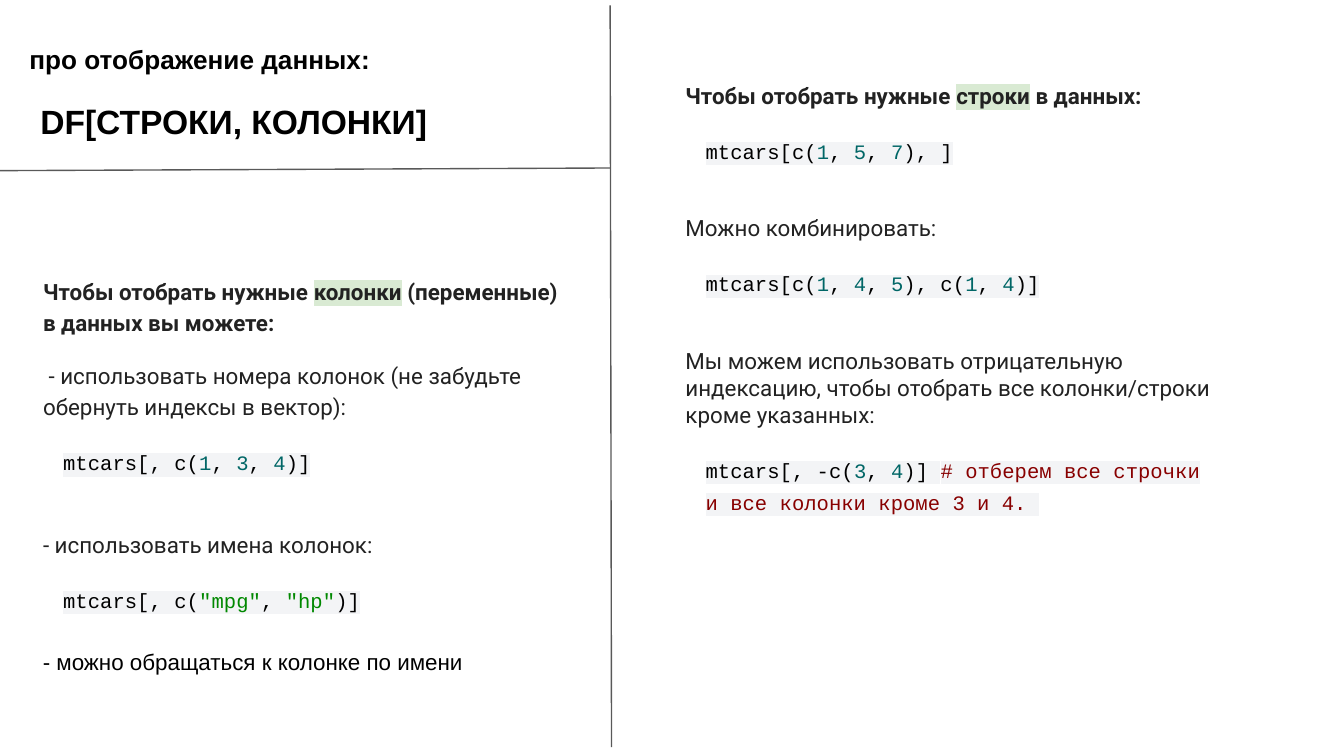
from lxml import etree
from pptx import Presentation
from pptx.dml.color import RGBColor
from pptx.enum.shapes import MSO_CONNECTOR
from pptx.enum.text import MSO_ANCHOR, MSO_AUTO_SIZE, PP_ALIGN
from pptx.oxml.ns import qn
from pptx.util import Inches, Pt

STRAIGHT = MSO_CONNECTOR.STRAIGHT
TOP = MSO_ANCHOR.TOP
GROW = MSO_AUTO_SIZE.SHAPE_TO_FIT_TEXT
LEFT = PP_ALIGN.LEFT

WIDTH = 10
HEIGHT = WIDTH * 9 / 16
TWO_CONTENT_LAYOUT = 3
MARGIN = 0.22          # left edge of the left column
COLUMN_WIDTH = 4.11
RIGHT_COLUMN = WIDTH / 2
DIVIDER = 4.54         # vertical rule between the columns

BLACK, DARK, GREY = "000000", "222222", "595959"
NUMBER, STRING, COMMENT = "006666", "008800", "880000"
CODE_BACK, KEYWORD_BACK = "F3F4F6", "D9EAD3"


def rgb(value):
    return RGBColor.from_string(value)


def add_run(paragraph, text, font, size, color, bold=False, highlight=None):
    run = paragraph.add_run()
    run.text = text
    run.font.name = font
    run.font.size = Pt(size)
    run.font.bold = bold
    run.font.color.rgb = rgb(color)
    if highlight:
        marker = etree.Element(qn("a:highlight"))
        etree.SubElement(marker, qn("a:srgbClr"), val=highlight)
        run.font._element.find(qn("a:latin")).addprevious(marker)


def next_paragraph(frame, before=0, spacing=1.0, indent=0):
    """Return an unbulleted paragraph, using the empty first one if it is free."""
    paragraph = frame.paragraphs[0]
    if paragraph.runs:
        paragraph = frame.add_paragraph()
    paragraph.alignment = LEFT
    paragraph.space_before = Pt(before)
    paragraph.space_after = Pt(0)
    paragraph.line_spacing = spacing
    properties = paragraph._p.get_or_add_pPr()
    properties.set("marL", str(Inches(indent)))
    properties.set("indent", "0")
    etree.SubElement(properties, qn("a:buNone"))
    return paragraph


def prepare_frame(shape, left, top, width, height):
    shape.left, shape.top = Inches(left), Inches(top)
    shape.width, shape.height = Inches(width), Inches(height)
    frame = shape.text_frame
    frame.word_wrap = True
    frame.auto_size = GROW
    frame.vertical_anchor = TOP
    frame.margin_left = frame.margin_right = Inches(0.1)
    frame.margin_top = frame.margin_bottom = Inches(0.1)
    return frame


def add_label(slide, text, box, size, bold=False):
    frame = prepare_frame(slide.shapes.add_textbox(0, 0, 0, 0), *box)
    add_run(next_paragraph(frame), text, "Arial", size, BLACK, bold)


def add_heading(frame, start, keyword, end, spacing=1.0):
    paragraph = next_paragraph(frame, spacing=spacing)
    for text, back in ((start, None), (keyword, KEYWORD_BACK), (end, None)):
        add_run(paragraph, text, "Roboto", 12, DARK, True, back)


def add_note(frame, text, before, spacing=1.0):
    add_run(next_paragraph(frame, before, spacing), text, "Roboto", 12, DARK)


def items(color, *values):
    """Coloured values of an R vector, with black commas between them."""
    parts = [(values[0], color)]
    for value in values[1:]:
        parts += [(", ", BLACK), (value, color)]
    return parts


def add_code(frame, *parts):
    paragraph = next_paragraph(frame, before=12, spacing=1.3, indent=0.15)
    for part in parts:
        for text, color in [(part, BLACK)] if isinstance(part, str) else part:
            add_run(paragraph, text, "Courier New", 11, color, highlight=CODE_BACK)


def add_rule(slide, x1, y1, x2, y2):
    rule = slide.shapes.add_connector(
        STRAIGHT, Inches(x1), Inches(y1), Inches(x2), Inches(y2))
    rule.line.color.rgb = rgb(GREY)
    rule.line.width = Pt(0.75)
    etree.SubElement(rule._element.spPr, qn("a:effectLst"))


def fill_columns_part(placeholder):
    frame = prepare_frame(placeholder, MARGIN, 1.94, COLUMN_WIDTH, 2.69)
    add_heading(frame, "Чтобы отобрать нужные ", "колонки",
                " (переменные) в данных вы можете:", 1.15)
    add_note(frame, " - использовать номера колонок (не забудьте обернуть "
                    "индексы в вектор):", 12, 1.15)
    add_code(frame, "mtcars[, c(", items(NUMBER, "1", "3", "4"), ")]")
    add_note(frame, "- использовать имена колонок:", 28, 1.15)
    add_code(frame, "mtcars[, c(", items(STRING, '"mpg"', '"hp"'), ")]")


def fill_rows_part(placeholder):
    frame = prepare_frame(placeholder, RIGHT_COLUMN, 0.51, COLUMN_WIDTH, 3.39)
    add_heading(frame, "Чтобы отобрать нужные ", "строки", " в данных:")
    add_code(frame, "mtcars[c(", items(NUMBER, "1", "5", "7"), "), ]")
    add_note(frame, "Можно комбинировать:", 27.5)
    add_code(frame, "mtcars[c(", items(NUMBER, "1", "4", "5"), "), c(",
             items(NUMBER, "1", "4"), ")]")
    add_note(frame, "Мы можем использовать отрицательную индексацию, чтобы "
                    "отобрать все колонки/строки кроме указанных:", 27.5)
    add_code(frame, "mtcars[, -c(", items(NUMBER, "3", "4"), ")] ",
             items(COMMENT, "# отберем все строчки и все колонки кроме 3 и 4. "))


def main():
    deck = Presentation()
    deck.slide_width, deck.slide_height = Inches(WIDTH), Inches(HEIGHT)
    slide = deck.slides.add_slide(deck.slide_layouts[TWO_CONTENT_LAYOUT])
    title, columns_part, rows_part = list(slide.placeholders)[:3]

    # Title block
    add_label(slide, "про отображение данных:", (0.12, 0.22, 6.23, 0.44), 14, True)
    title_frame = prepare_frame(title, 0.2, 0.65, 3.12, 0.5)
    add_run(next_paragraph(title_frame), "DF[СТРОКИ, КОЛОНКИ]", "Arial", 18, BLACK, True)

    # Selecting columns on the left, rows on the right
    fill_columns_part(columns_part)
    add_label(slide, "- можно обращаться к колонке по имени",
              (MARGIN, 4.72, 3.34, 0.4), 12)
    fill_rows_part(rows_part)

    # Dividing rules
    add_rule(slide, DIVIDER, 0.04, DIVIDER + 0.01, 5.56)
    add_rule(slide, 0, 1.27, DIVIDER, 1.25)

    deck.save("out.pptx")


if __name__ == "__main__":
    main()
